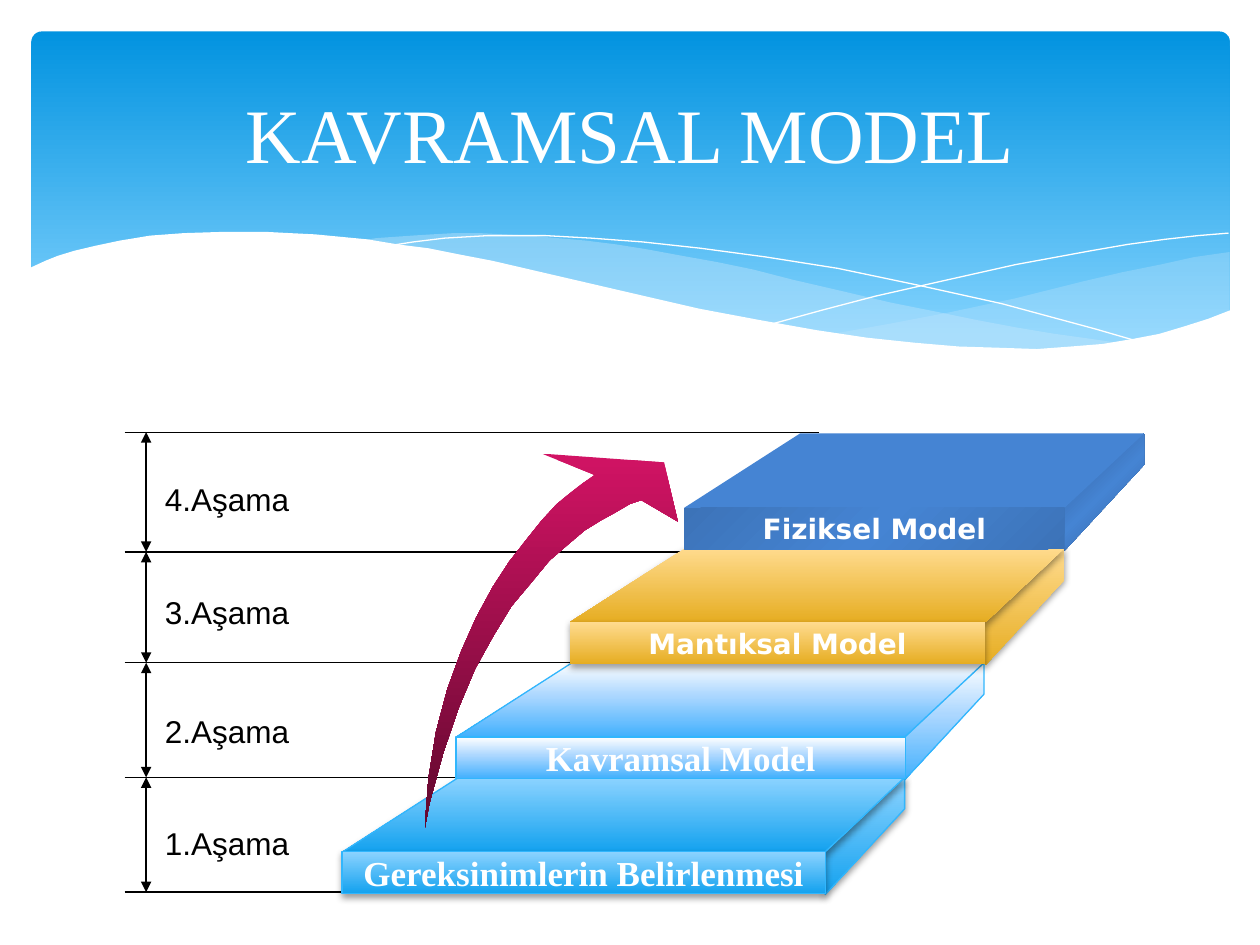
"""Builds the slide of the four stages that lead up to the physical model."""
from dataclasses import dataclass

from lxml import etree
from pptx import Presentation
from pptx.dml.color import RGBColor
from pptx.enum.shapes import MSO_CONNECTOR, MSO_SHAPE
from pptx.enum.text import MSO_ANCHOR, PP_ALIGN
from pptx.oxml.ns import qn
from pptx.util import Inches, Pt

STRAIGHT = MSO_CONNECTOR.STRAIGHT
RECTANGLE, ROUNDED = MSO_SHAPE.RECTANGLE, MSO_SHAPE.ROUNDED_RECTANGLE
MIDDLE, TOP = MSO_ANCHOR.MIDDLE, MSO_ANCHOR.TOP
LEFT, CENTER = PP_ALIGN.LEFT, PP_ALIGN.CENTER


@dataclass(frozen=True)
class Theme:
    white: str = "FFFFFF"
    black: str = "000000"
    mist: str = "C6E7FC"
    edge: str = "31B6FD"
    banner: tuple = ((0, "0293E0"), (90, "83D3FE"))
    arrow: tuple = ((0, "D11364"), (100, "61092E"))
    blue: tuple = ((0, "4584D3"), (100, "4584D3"))
    blue_side: tuple = ((0, "315E97"), (50, "4584D3"), (100, "315E97"))
    blue_front: tuple = ((0, "3C73B8"), (50, "4584D3"), (100, "3C73B8"))
    gold: tuple = ((0, "FFDB8E"), (100, "E6AD22"))
    ice: tuple = ((0, "FFFFFF"), (44, "ACD7FF"), (100, "42B0FD"))
    sky: tuple = ((0, "8CD3FF"), (100, "14A2EF"))
    serif: str = "Times New Roman"
    sans: str = "Arial"
    wide: str = "DejaVu Sans"
    title_size: int = 44
    label_size: int = 18
    wide_size: int = 16
    serif_size: int = 20
    line_width: float = 0.75


theme = Theme()
presentation = Presentation()
presentation.slide_width, presentation.slide_height = Inches(10), Inches(7.5)
slide = presentation.slides.add_slide(presentation.slide_layouts[6])
shapes = slide.shapes
cell = presentation.slide_width // 1000


def paint(shape, stops=None, angle=90, color=None, alpha=100, line=None, width=0.75, shadow=False):
    """Give a shape its fill, outline and shadow."""
    properties = shape._element.spPr
    if stops:
        shape.fill.gradient()
        shape.fill.gradient_angle = 360 - angle
        stop_list = properties.find(qn("a:gradFill")).find(qn("a:gsLst"))
        for old_stop in list(stop_list):
            stop_list.remove(old_stop)
        for position, stop_color in stops:
            stop = etree.SubElement(stop_list, qn("a:gs"), pos=str(position * 1000))
            etree.SubElement(stop, qn("a:srgbClr"), val=stop_color)
    elif color:
        shape.fill.solid()
        shape.fill.fore_color.rgb = RGBColor.from_string(color)
        fill_color = properties.find(qn("a:solidFill"))[0]
        etree.SubElement(fill_color, qn("a:alpha"), val=str(alpha * 1000))
    else:
        shape.fill.background()
    if line:
        shape.line.color.rgb = RGBColor.from_string(line)
        shape.line.width = Pt(width)
    else:
        shape.line.fill.background()
    shape.shadow.inherit = False
    if shadow:
        outer = etree.SubElement(properties.find(qn("a:effectLst")), qn("a:outerShdw"),
                                 blurRad=str(Pt(4)), dist=str(Pt(2)), dir="5400000", rotWithShape="0")
        shadow_color = etree.SubElement(outer, qn("a:srgbClr"), val=theme.black)
        etree.SubElement(shadow_color, qn("a:alpha"), val="38000")


def outline(points, close=True):
    """Draw a freeform through points given in grid cells."""
    builder = shapes.build_freeform(*points[0], scale=cell)
    builder.add_line_segments(points[1:], close=close)
    return builder.convert_to_shape()


banner = shapes.add_shape(ROUNDED, 25 * cell, 25 * cell, 951 * cell, 270 * cell)
banner.adjustments[0] = 0.03
paint(banner, theme.banner)

right_wave = [
    (976, 200), (948, 204), (921, 210), (891, 216), (861, 223), (805, 237), (753, 248),
    (706, 257), (661, 265), (691, 269), (719, 272), (745, 275), (769, 277), (803, 278),
    (835, 277), (863, 275), (889, 272), (913, 267), (935, 262), (949, 257), (976, 247)]
middle_wave = [
    (893, 273), (866, 269), (837, 265), (807, 260), (775, 254), (741, 247), (706, 240),
    (668, 231), (629, 222), (598, 214), (569, 208), (541, 203), (514, 198), (489, 194),
    (465, 191), (442, 189), (420, 187), (399, 186), (380, 185), (361, 185), (344, 186),
    (328, 187), (299, 189), (286, 191), (323, 196), (362, 203), (404, 211), (449, 222),
    (491, 232), (530, 240), (566, 248), (601, 255), (634, 261), (665, 266), (695, 270),
    (722, 274), (748, 276), (773, 277), (807, 278), (838, 278), (867, 276), (893, 273)]
falling_line = [
    (309, 195), (328, 192), (353, 189), (387, 187), (433, 187), (469, 189), (510, 192),
    (556, 197), (608, 204), (665, 213), (727, 226), (795, 241), (869, 261), (907, 272)]
rising_line = [
    (613, 257), (653, 246), (695, 235), (748, 223), (806, 210), (866, 199), (895, 194),
    (924, 190), (951, 187), (975, 185)]
white_wave = [
    (977, 246), (959, 253), (940, 259), (920, 265), (899, 269), (875, 273), (850, 275),
    (823, 277), (793, 276), (761, 275), (726, 272), (688, 268), (648, 262), (603, 254),
    (555, 245), (503, 233), (447, 220), (391, 207), (365, 202), (340, 197), (316, 194),
    (292, 190), (271, 188), (250, 186), (230, 185), (211, 184), (177, 184), (146, 185),
    (119, 187), (95, 191), (76, 195), (59, 199), (46, 203), (36, 207), (23, 213),
    (23, 329), (977, 329)]
paint(outline(right_wave), color=theme.mist, alpha=29)
paint(outline(middle_wave), color=theme.mist, alpha=40)
for curve in (falling_line, rising_line):
    paint(outline(curve, close=False), line=theme.white, width=0)
paint(outline(white_wave), color=theme.white)

levels = (343, 438, 526, 617, 708)
level_ends = (650, 554, 466, 366, 281)
rules = [(99, level, end, level, False) for level, end in zip(levels, level_ends)]
rules += [(116, upper, 116, lower, True) for upper, lower in zip(levels, levels[1:])]
for left, top, right, bottom, has_arrows in rules:
    connector = shapes.add_connector(STRAIGHT, left * cell, top * cell, right * cell, bottom * cell)
    connector.line.color.rgb = RGBColor.from_string(theme.black)
    connector.line.width = Pt(theme.line_width)
    if has_arrows:
        for end in ("a:headEnd", "a:tailEnd"):
            etree.SubElement(connector.line._get_or_add_ln(), qn(end), type="triangle")
    etree.SubElement(connector._element.spPr, qn("a:effectLst"))

title = shapes.add_textbox(50 * cell, 37 * cell, 900 * cell, 137 * cell)
texts = [(title, "KAVRAMSAL MODEL", theme.serif, theme.title_size, theme.white, False, CENTER, MIDDLE)]
for number, top in zip((4, 3, 2, 1), (376, 466, 560, 649)):
    label = shapes.add_textbox(121 * cell, top * cell, 126 * cell, 40 * cell)
    texts.append((label, f"{number}.Aşama", theme.sans, theme.label_size, theme.black, False, LEFT, TOP))

steps = [
    ("Fiziksel Model", theme.wide, theme.wide_size,
     theme.blue_side, theme.blue, theme.blue_front, 45, None, False),
    ("Mantıksal Model", theme.wide, theme.wide_size,
     theme.gold, theme.gold, theme.gold, 90, None, True),
    ("Kavramsal Model", theme.serif, theme.serif_size,
     theme.ice, theme.ice, theme.ice, 90, theme.edge, False),
    ("Gereksinimlerin Belirlenmesi", theme.serif, theme.serif_size,
     theme.sky, theme.sky, theme.sky, 90, theme.edge, True)]
depth, slant, front_height = 59, 63, 33
fronts = []
for index, (name, font, size, side_fill, top_fill, front_fill, angle, edge, shadow) in enumerate(steps):
    left, right, back = 543 - 90.5 * index, 845 - 63.3 * index, 344 + 91 * index
    front = back + depth
    side = outline([(right + slant, back + 25), (right, back + 93), (right, front), (right + slant, back)])
    paint(side, side_fill, angle, line=edge, shadow=shadow)
    surface = outline([(right, front), (left, front), (left + 92, back), (right + slant, back)])
    paint(surface, top_fill, line=edge, shadow=shadow)
    fronts.append((left, front, right - left, name, font, size, front_fill, angle, edge, shadow))

arrow = outline([
    (337, 658), (340, 618), (346, 581), (355, 547), (366, 517), (378, 490), (391, 466),
    (404, 446), (418, 428), (430, 413), (442, 400), (453, 391), (462, 384), (472, 377),
    (430, 360), (527, 367), (538, 414), (509, 397), (500, 400), (488, 407), (477, 413),
    (464, 421), (451, 432), (436, 445), (422, 462), (406, 481), (392, 504), (377, 531),
    (364, 562), (352, 597), (341, 637)])
paint(arrow, theme.arrow)

for left, top, width, name, font, size, fill, angle, edge, shadow in fronts:
    panel = shapes.add_shape(RECTANGLE, *(round(part * cell) for part in (left, top, width, front_height)))
    paint(panel, fill, angle, line=edge, shadow=shadow)
    texts.append((panel, name, font, size, theme.white, True, CENTER, MIDDLE))

for shape, text, font, size, color, bold, alignment, anchor in texts:
    frame = shape.text_frame
    frame.word_wrap = True
    frame.vertical_anchor = anchor
    paragraph = frame.paragraphs[0]
    paragraph.alignment = alignment
    run = paragraph.add_run()
    run.text = text
    run.font.name, run.font.size, run.font.bold = font, Pt(size), bold
    run.font.color.rgb = RGBColor.from_string(color)

presentation.save("out.pptx")
